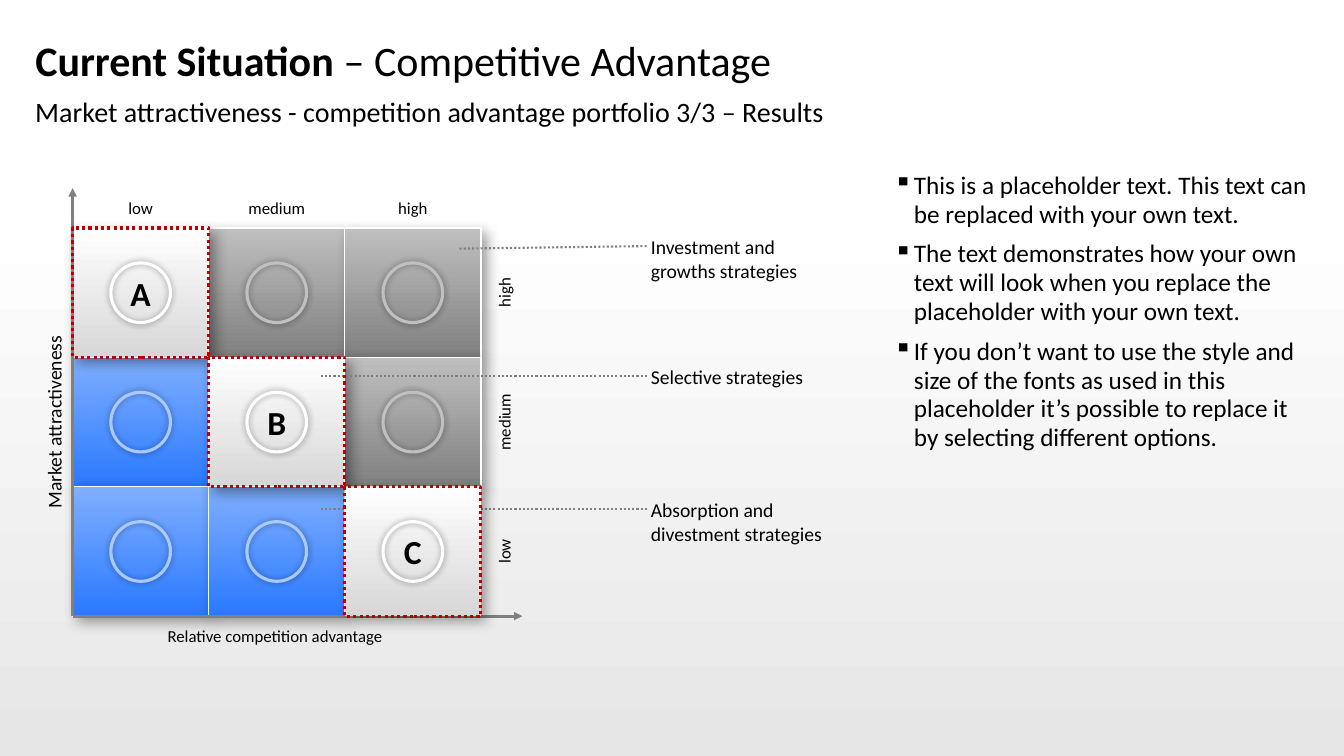
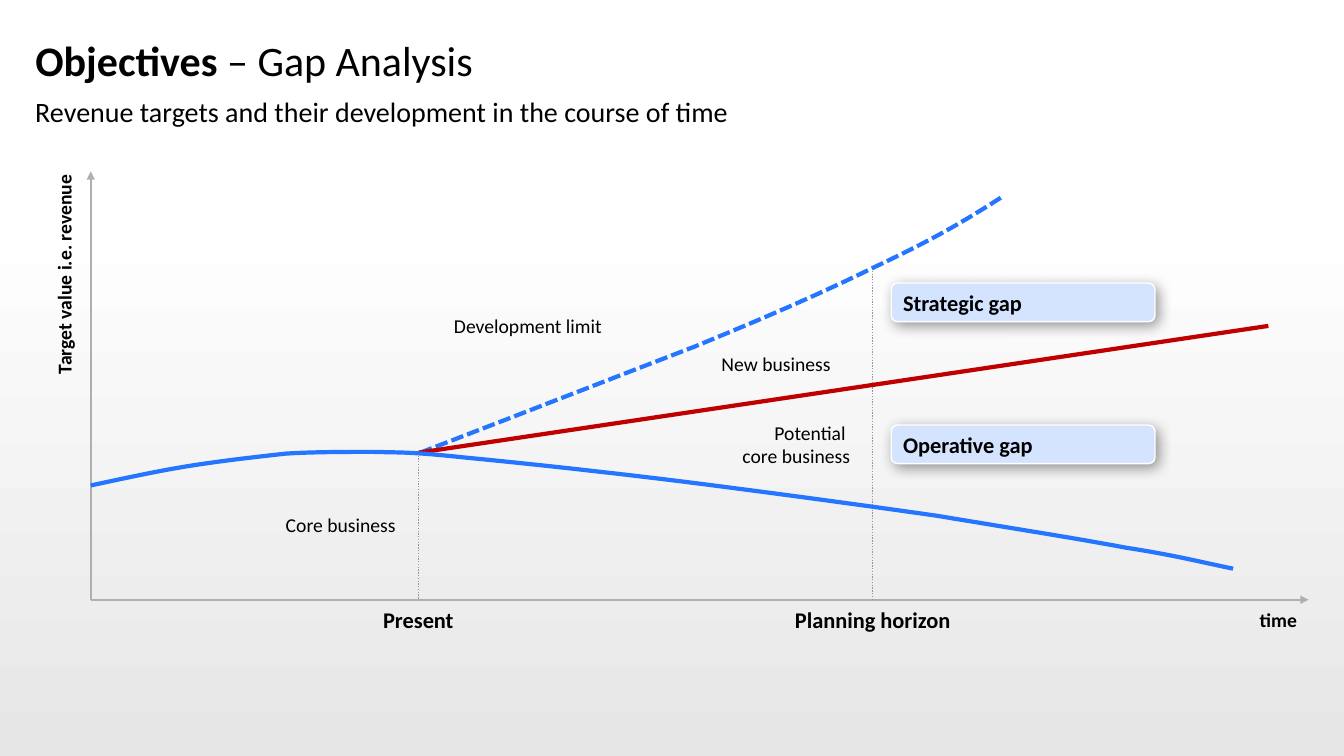
import dataclasses

import lxml.etree
import pptx
import pptx.dml.color
import pptx.enum.dml
import pptx.enum.shapes
import pptx.enum.text
import pptx.oxml.ns
import pptx.util

Pt = pptx.util.Pt
Shape = pptx.enum.shapes.MSO_SHAPE
Dash = pptx.enum.dml.MSO_LINE
Align = pptx.enum.text.PP_ALIGN
Anchor = pptx.enum.text.MSO_ANCHOR
qn = pptx.oxml.ns.qn

# The slide is a grid of 160 columns by 90 rows
WIDE, HIGH = pptx.util.Inches(13.33), pptx.util.Inches(7.5)
COLS, ROWS = 160, 90


@dataclasses.dataclass(frozen=True)
class Theme:
    font: str = "Calibri"
    ink: str = "000000"
    white: str = "FFFFFF"
    foot: str = "E6E6E6"
    red: str = "C00000"
    curve: str = "2475FF"
    axis: str = "808080"
    pale: str = "AFAFAF"
    guide: str = "969696"
    tag: str = "D4E4FF"
    # Cell fills (top, bottom) and ring colours
    blue: tuple = ("7FAFFF", "2A79FF", "AAC9FF")
    gray: tuple = ("BFBFBF", "808080", "C0C0C0")
    light: tuple = ("FFFFFF", "D7D7D7", "FFFFFF")
    # Type sizes
    head: int = 30
    mark: int = 24
    sub: int = 20
    body: int = 18
    key: int = 16
    note: int = 14
    small: int = 12


def rgb(code):
    return pptx.dml.color.RGBColor.from_string(code)


def col(num):
    return round(num * WIDE / COLS)


def row(num):
    return round(num * HIGH / ROWS)


def box(x, y, w, h):
    return col(x), row(y), col(w), row(h)


def blend(fill, top, end, start=0):
    """Fill from top to bottom, beginning at the share start."""
    fill.gradient()
    fill.gradient_angle = 270
    for stop, code, pos in zip(fill.gradient_stops, (top, end), (start, 1)):
        stop.color.rgb = rgb(code)
        stop.position = pos


def bezier(nodes, steps=12):
    """Points along joined cubic curves: a start, then three nodes each."""
    points = [nodes[0]]
    for i in range(0, len(nodes) - 1, 3):
        a, b, c, d = nodes[i:i + 4]
        for n in range(1, steps + 1):
            t = n / steps
            u = 1 - t
            points.append(tuple(
                u**3 * p + 3 * u * u * t * q + 3 * u * t * t * r + t**3 * s
                for p, q, r, s in zip(a, b, c, d)))
    return points


class Deck:
    def __init__(self, theme):
        self.theme = theme
        self.prs = pptx.Presentation()
        self.prs.slide_width, self.prs.slide_height = WIDE, HIGH
        blend(self.prs.slide_master.background.fill, theme.white, theme.foot, 0.29)
        self.slide = None

    def page(self, lead, rest, sub):
        """Start a slide with its title and subtitle."""
        self.slide = self.prs.slides.add_slide(self.prs.slide_layouts[5])
        title = self.slide.shapes.title
        title.left, title.top, title.width, title.height = box(4.2, 3.1, 151.4, 8)
        self.frame(title.text_frame, Anchor.MIDDLE, 0, 0)
        self.put(title.text_frame.paragraphs[0], [(lead, True), (rest, False)],
                 self.theme.head)
        self.text((4.2, 11.3, 151.4, 4.4), sub, self.theme.sub, align=Align.LEFT,
                  anchor=Anchor.TOP, side=0, edge=0)

    def frame(self, frame, anchor, side=0.1, edge=0.05, wrap=True):
        frame.word_wrap = wrap
        frame.auto_size = pptx.enum.text.MSO_AUTO_SIZE.NONE
        frame.vertical_anchor = anchor
        frame.margin_left = frame.margin_right = pptx.util.Inches(side)
        frame.margin_top = frame.margin_bottom = pptx.util.Inches(edge)

    def put(self, para, parts, size, align=Align.LEFT):
        """Add text run by run; parts are pairs of words and bold."""
        para.alignment = align
        for words, bold in parts:
            for i, line in enumerate(words.split("\n")):
                if i:
                    para.add_line_break()
                run = para.add_run()
                run.text = line
                run.font.name = self.theme.font
                run.font.size = Pt(size)
                run.font.bold = bold
                run.font.color.rgb = rgb(self.theme.ink)

    def text(self, area, words, size, bold=False, align=Align.CENTER,
             anchor=Anchor.MIDDLE, side=0.1, edge=0.05, wrap=True, turn=False):
        """Text in the area; a turned text reads upwards."""
        x, y, w, h = box(*area)
        if turn:
            x, y, w, h = x + (w - h) // 2, y + (h - w) // 2, h, w
        item = self.slide.shapes.add_textbox(x, y, w, h)
        item.rotation = 270 if turn else 0
        self.frame(item.text_frame, anchor, side, edge, wrap)
        self.put(item.text_frame.paragraphs[0], [(words, bold)], size, align)

    def bullets(self, area, items):
        body = self.slide.shapes.add_textbox(*box(*area)).text_frame
        self.frame(body, Anchor.TOP, 0, 0)
        for i, words in enumerate(items):
            para = body.add_paragraph() if i else body.paragraphs[0]
            self.put(para, [(words, False)], self.theme.body)
            para.line_spacing = 0.95
            para.space_after = Pt(8)
            prop = para._p.get_or_add_pPr()
            dent = pptx.util.Inches(0.2)
            prop.set("marL", str(dent))
            prop.set("indent", str(-dent))
            lxml.etree.SubElement(prop, qn("a:buChar")).set("char", "▪")

    def stroke(self, line, color, width, dash=None):
        line.color.rgb = rgb(color)
        line.width = Pt(width)
        if dash:
            line.dash_style = dash

    def shape(self, kind, area, fill=None, line=None, width=1, dash=None, shade=None):
        """Preset shape; shade is the blur and distance of its shadow."""
        item = self.slide.shapes.add_shape(kind, *box(*area))
        item.shadow.inherit = False
        if fill is None:
            item.fill.background()
        elif isinstance(fill, tuple):
            blend(item.fill, *fill[:2])
        else:
            item.fill.solid()
            item.fill.fore_color.rgb = rgb(fill)
        if line:
            self.stroke(item.line, line, width, dash)
        else:
            item.line.fill.background()
        if shade:
            blur, dist = shade
            drop = lxml.etree.SubElement(
                item._element.spPr.find(qn("a:effectLst")), qn("a:outerShdw"),
                blurRad=str(Pt(blur)), dist=str(Pt(dist)), dir="2700000",
                algn="tl", rotWithShape="0")
            tone = lxml.etree.SubElement(drop, qn("a:srgbClr"), val=self.theme.ink)
            lxml.etree.SubElement(tone, qn("a:alpha"), val="40000")
        return item

    def line(self, start, end, color, width, dash=None, arrow=False):
        item = self.slide.shapes.add_connector(
            pptx.enum.shapes.MSO_CONNECTOR.STRAIGHT,
            col(start[0]), row(start[1]), col(end[0]), row(end[1]))
        self.stroke(item.line, color, width, dash)
        if arrow:
            lxml.etree.SubElement(item.line._get_or_add_ln(), qn("a:tailEnd"),
                                  type="triangle")
        lxml.etree.SubElement(item._element.spPr, qn("a:effectLst"))

    def curve(self, nodes, color, width, dash=None):
        points = [(col(x), row(y)) for x, y in bezier(nodes)]
        pen = self.slide.shapes.build_freeform(*points[0])
        pen.add_line_segments(points[1:], close=False)
        item = pen.convert_to_shape()
        item.shadow.inherit = False
        item.fill.background()
        self.stroke(item.line, color, width, dash)

    def axes(self, zero, top, right, color, width):
        for tip in ((zero[0], top), (right, zero[1])):
            self.line(zero, tip, color, width, arrow=True)

    def cell(self, area, fill, edge, mark=""):
        item = self.shape(Shape.RECTANGLE, area, fill, edge, shade=(10, 5))
        if mark:
            self.frame(item.text_frame, Anchor.MIDDLE, 0, 0)
            self.put(item.text_frame.paragraphs[0], [(mark, True)],
                     self.theme.mark, Align.CENTER)

    def tag(self, area, words):
        item = self.shape(Shape.ROUNDED_RECTANGLE, area, self.theme.tag,
                          self.theme.white, shade=(10, 3))
        self.frame(item.text_frame, Anchor.MIDDLE)
        self.put(item.text_frame.paragraphs[0], [(words, True)], self.theme.key)


def matrix(deck):
    look = deck.theme
    deck.page("Current Situation ", "– Competitive Advantage",
              "Market attractiveness - competition advantage portfolio 3/3 – Results")
    deck.bullets((106.4, 20.4, 49.2, 55.8), [
        "This is a placeholder text. This text can be replaced with your own text.",
        "The text demonstrates how your own text will look when you replace the "
        "placeholder with your own text.",
        "If you don’t want to use the style and size of the fonts as used in this "
        "placeholder it’s possible to replace it by selecting different options."])

    left, top, wide, high, ring = 8.65, 27.15, 16.2, 15.4, 7.1
    base = top + 3 * high

    def area(r, c):
        return left + c * wide, top + r * high, wide, high

    def tone(r, c):
        return look.light if r == c else look.blue if r > c else look.gray

    # Cells: the plain ones, then those on the diagonal
    spots = [(r, c) for r in range(3) for c in range(3)]
    for r, c in spots:
        if r != c:
            deck.cell(area(r, c), tone(r, c), look.white)
    for i, mark in enumerate("AB"):
        deck.cell(area(i, i), look.light, look.white, mark)

    # Scales and axes
    scale = ("low", "medium", "high")
    for i in range(3):
        deck.text((left + i * wide, 22.4, wide, 4.7), scale[i], look.small)
        deck.text((57.4, top + i * high, 5.2, high), scale[2 - i], look.small, turn=True)
    deck.text((left, base, 48.2, 4.8), "Relative competition advantage", look.small)
    deck.text((4.2, top, 4.4, 3 * high), "Market attractiveness", look.note, turn=True)
    deck.axes((left, base), 22.4, 62.2, look.axis, 2)

    # Callouts
    for x, y, end, words in (
            (54.7, 29.6, 29.3, "Investment and \ngrowths strategies"),
            (38.2, 44.8, 44.8, "Selective strategies"),
            (38.2, 60.6, 60.6, "Absorption and \ndivestment strategies")):
        deck.line((x, y), (77, end), look.axis, 1.5, Dash.ROUND_DOT)
        deck.text((77, end - 1.9, 22.3, 6.9), words, look.note, align=Align.LEFT,
                  anchor=Anchor.TOP, side=0.04, wrap=False)

    # The last cell covers its callout line; rings and frames lie on top
    deck.cell(area(2, 2), look.light, None, "C")
    for r, c in spots:
        x, y, w, h = area(r, c)
        deck.shape(Shape.OVAL, (x + (w - ring) / 2, y + (h - ring) / 2, ring, ring),
                   line=tone(r, c)[2], width=2.25, shade=(5, 0))
    for i in range(3):
        deck.shape(Shape.RECTANGLE, area(i, i), line=look.red, width=2.25,
                   dash=Dash.ROUND_DOT)


def gap(deck):
    look = deck.theme
    deck.page("Objectives ", "– Gap Analysis",
              "Revenue targets and their development in the course of time")

    # Axes and guides
    base, now, plan = 71.4, 49.8, 103.9
    deck.axes((10.8, base), 20.4, 155.8, look.pale, 1.5)
    deck.text((4.4, 19.6, 6.4, 26.4), "Target value i.e. revenue", look.note, True,
              Align.RIGHT, turn=True)
    deck.text((134.5, 71.5, 21.1, 4.6), "time", look.note, True, Align.RIGHT)
    for x, top, wide, words in ((now, 53.9, 21.1, "Present"),
                                (plan, 31.9, 31.2, "Planning horizon")):
        deck.text((x - wide / 2, 71.5, wide, 4.6), words, look.key, True)
        deck.line((x, top), (x, base), look.guide, 1, Dash.ROUND_DOT)

    # Development limit, new business and core business
    deck.curve([(50, 53.9), (60.9, 49.7), (71.7, 45.5), (82.6, 41.3),
                (91.6, 37.6), (97.8, 34.9), (103.9, 31.9),
                (110.2, 28.9), (113.8, 27), (119.5, 23.3)],
               look.curve, 3, Dash.SQUARE_DOT)
    deck.line((now, 53.9), (151, 38.8), look.red, 3)
    deck.curve([(10.8, 57.8), (15, 56.9), (19.1, 56), (23, 55.4),
                (26.9, 54.8), (30.5, 54.4), (34.1, 54),
                (37.6, 53.8), (40.9, 53.8), (44.5, 53.8),
                (48.1, 53.9), (49.1, 53.8), (55.6, 54.5),
                (62, 55.1), (74, 56.4), (83.4, 57.6),
                (92.8, 58.8), (103.1, 60.2), (111.5, 61.4),
                (119.9, 62.8), (128.2, 64.1), (134, 65.2),
                (139.9, 66.1), (143.3, 67), (146.8, 67.7)], look.curve, 3)

    # Labels and tags
    for x, y, wide, words, align in (
            (45.4, 36.5, 34.9, "Development limit", Align.CENTER),
            (78.8, 41, 27.2, "New business", Align.CENTER),
            (75.2, 50.6, 27.2, "Potential \ncore business", Align.RIGHT),
            (21.1, 60.2, 27.2, "Core business", Align.RIGHT)):
        deck.text((x, y, wide, 4.6), words, look.note, align=align)
    for y, words in ((33.7, "Strategic gap"), (50.6, "Operative gap")):
        deck.tag((106.1, y, 31.4, 4.6), words)


def main():
    deck = Deck(Theme())
    matrix(deck)
    gap(deck)
    deck.prs.save("out.pptx")


if __name__ == "__main__":
    main()
